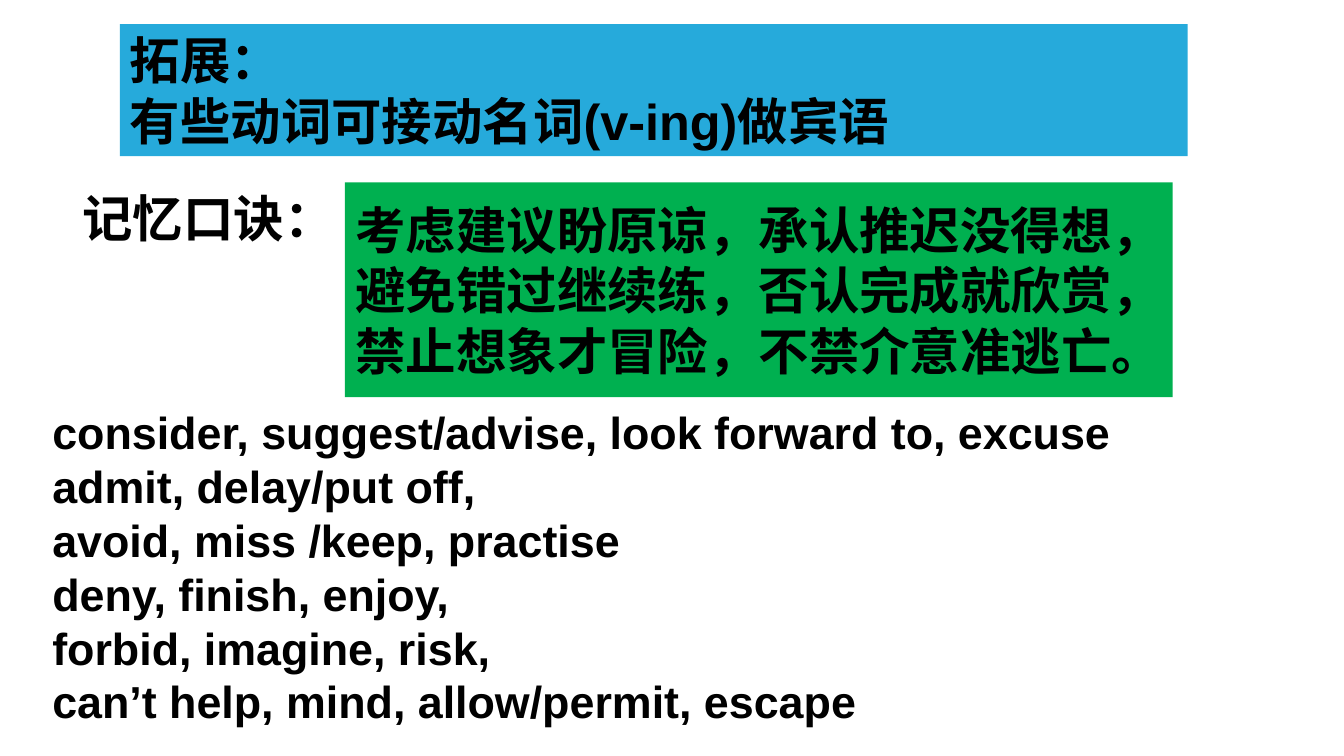
from pptx import Presentation
from pptx.dml.color import RGBColor
from pptx.enum.text import MSO_ANCHOR, PP_ALIGN
from pptx.util import Inches, Pt

BLACK = RGBColor(0x00, 0x00, 0x00)
BLUE = RGBColor(0x26, 0xAA, 0xDB)
GREEN = RGBColor(0x00, 0xB0, 0x50)
LEFT, CENTER = PP_ALIGN.LEFT, PP_ALIGN.CENTER
TOP, MIDDLE = MSO_ANCHOR.TOP, MSO_ANCHOR.MIDDLE
LATIN, CHINESE = "Arial", "Noto Sans CJK SC"

HEADING = ["拓展：", "有些动词可接动名词(v-ing)做宾语"]
RHYME_LABEL = ["记忆口诀："]
RHYME = [
    "考虑建议盼原谅，承认推迟没得想，",
    "避免错过继续练，否认完成就欣赏，",
    "禁止想象才冒险，不禁介意准逃亡。",
]
VERBS = [
    "consider, suggest/advise, look forward to, excuse",
    "admit, delay/put off,",
    "avoid, miss /keep, practise",
    "deny, finish, enjoy,",
    "forbid, imagine, risk,",
    "can’t help, mind, allow/permit, escape",
]
RHYME_TOP = 1.81
BLOCKS = [
    (HEADING, (1.19, 0.24, 10.59, 1.31), BLUE, LATIN, 36, LEFT, TOP, True),
    (RHYME_LABEL, (0.72, RHYME_TOP, 2.7, 0.71), None, CHINESE, 36, LEFT, TOP, False),
    (RHYME, (3.42, RHYME_TOP, 8.21, 2.13), GREEN, CHINESE, 36, CENTER, MIDDLE, False),
    (VERBS, (0.42, 3.97, 12.92, 3.33), None, LATIN, 32, LEFT, TOP, True),
]


def add_block(page, lines, place, fill, font, size, align, anchor, wrap):
    box = page.shapes.add_textbox(*map(Inches, place))
    if fill is not None:
        box.fill.solid()
        box.fill.fore_color.rgb = fill
    frame = box.text_frame
    frame.word_wrap = wrap
    frame.vertical_anchor = anchor
    frame.text = "\n".join(lines)
    for para in frame.paragraphs:
        para.alignment = align
        para.font.name = font
        para.font.size = Pt(size)
        para.font.bold = True
        para.font.color.rgb = BLACK


deck = Presentation()
deck.slide_width, deck.slide_height = Inches(13.33), Inches(7.5)
page = deck.slides.add_slide(deck.slide_layouts[6])
for block in BLOCKS:
    add_block(page, *block)
deck.save("out.pptx")
